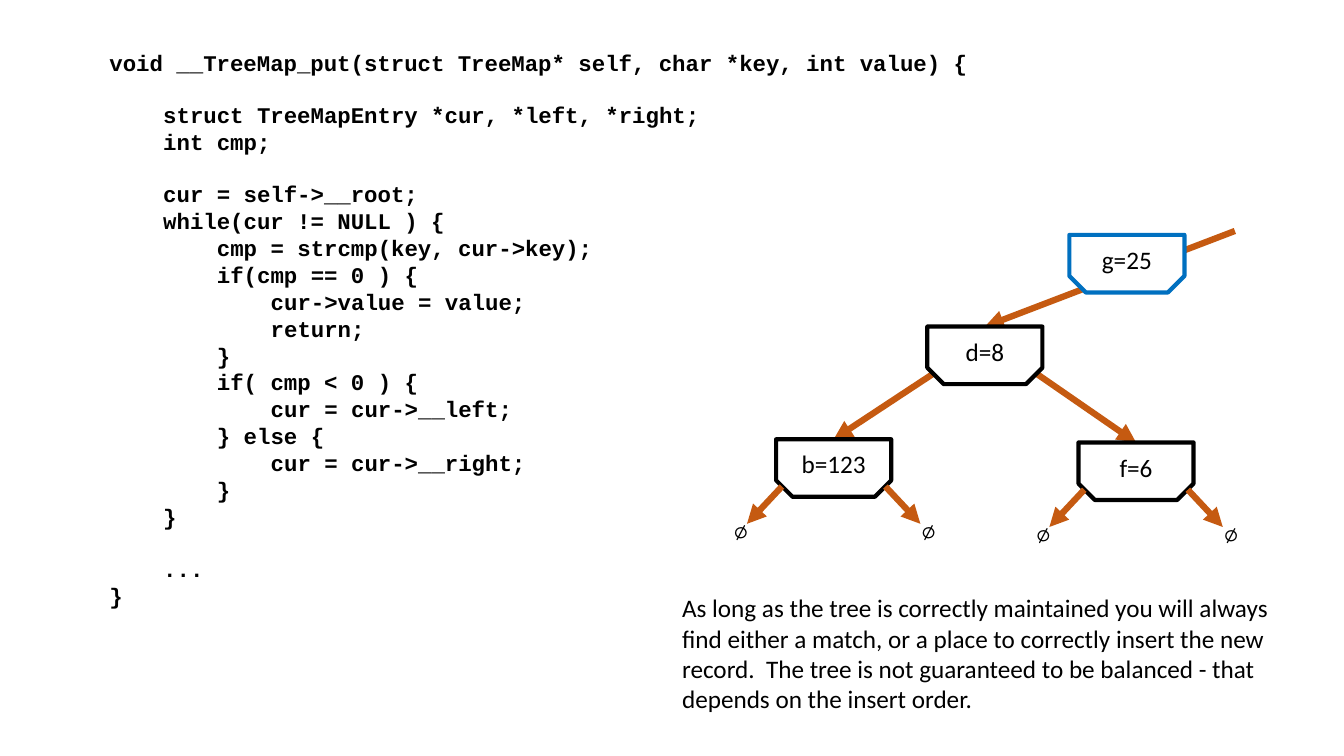
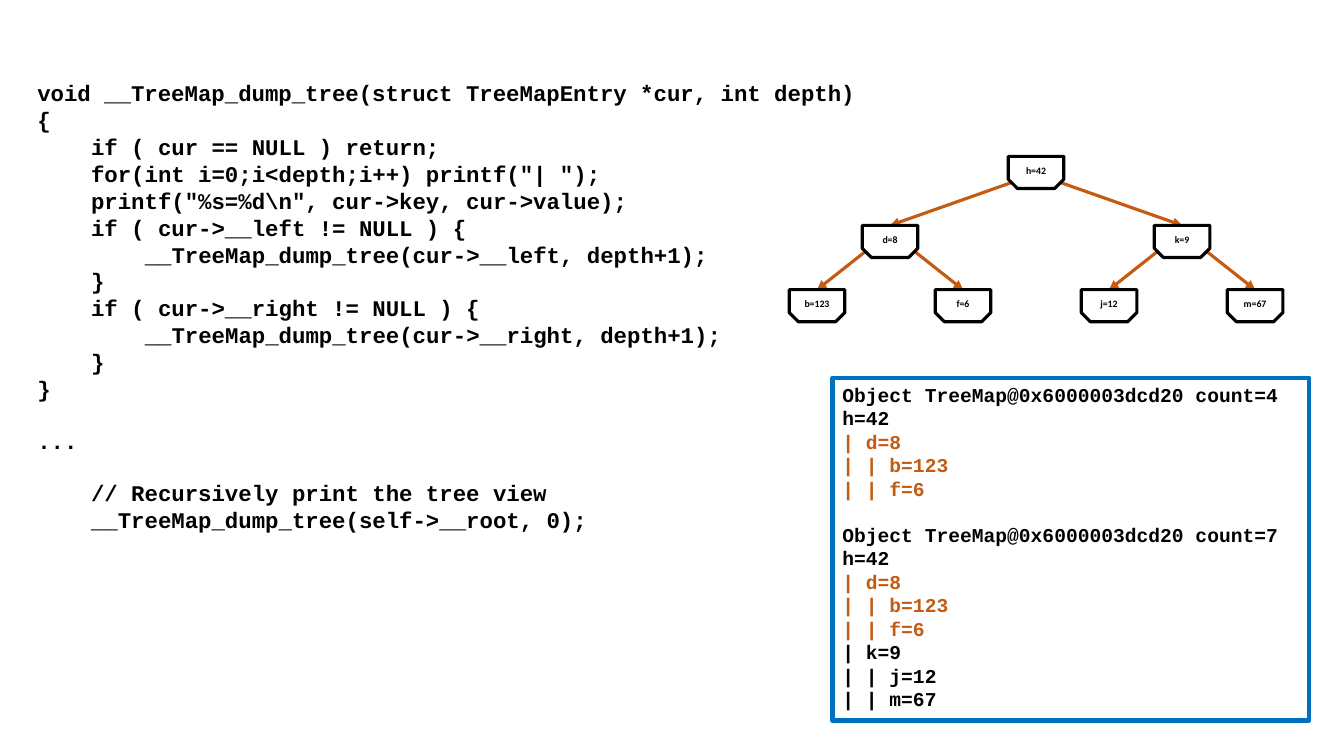
from dataclasses import dataclass

from lxml import etree
from pptx import Presentation
from pptx import util as u
from pptx.dml import color
from pptx.enum import shapes as kinds, text
from pptx.oxml import ns


@dataclass(frozen=True)
class Theme:
    ink: color.RGBColor = color.RGBColor.from_string("000000")
    paper: color.RGBColor = color.RGBColor.from_string("FFFFFF")
    blue: color.RGBColor = color.RGBColor.from_string("0070C0")
    orange: color.RGBColor = color.RGBColor.from_string("C55A11")
    body_font: str = "Calibri"
    code_font: str = "Courier New"
    body_size: float = 18
    code_size: float = 16
    output_size: float = 14
    outline: float = 3


THEME = Theme()
LINE_HEIGHT = 1.13  # code line height, relative to the type size
CHARACTER_WIDTH = 0.6  # code character width, relative to the type size


@dataclass(frozen=True)
class TreeStyle:
    """Node size in centimetres; outline, arrow and type size in points."""
    width: float
    height: float
    outline: float
    arrow: float
    size: float
    bold: bool = False

    def top_point(self, node):
        return node[0] + self.width / 2, node[1]

    def foot(self, node, side):
        """Where an arrow leaves a node: side is -1 for left, 1 for right."""
        inset = 0.05 * self.width
        x = node[0] + (inset if side < 0 else self.width - inset)
        return x, node[1] + 0.82 * self.height


LARGE_TREE = TreeStyle(2.9, 1.45, 3, 4.5, THEME.body_size)
SMALL_TREE = TreeStyle(1.4, 0.81, 2.25, 2.25, 7, bold=True)

PUT_CODE = """\
void __TreeMap_put(struct TreeMap* self, char *key, int value) {

    struct TreeMapEntry *cur, *left, *right;
    int cmp;

    cur = self->__root;
    while(cur != NULL ) {
        cmp = strcmp(key, cur->key);
        if(cmp == 0 ) {
            cur->value = value;
            return;
        }
        if( cmp < 0 ) {
            cur = cur->__left;
        } else {
            cur = cur->__right;
        }
    }

    ...
}"""

DUMP_CODE = r"""void __TreeMap_dump_tree(struct TreeMapEntry *cur, int depth)
{
    if ( cur == NULL ) return;
    for(int i=0;i<depth;i++) printf("| ");
    printf("%s=%d\n", cur->key, cur->value);
    if ( cur->__left != NULL ) {
        __TreeMap_dump_tree(cur->__left, depth+1);
    }
    if ( cur->__right != NULL ) {
        __TreeMap_dump_tree(cur->__right, depth+1);
    }
}

...

    // Recursively print the tree view
    __TreeMap_dump_tree(self->__root, 0);"""

DUMP_OUTPUT = """\
Object TreeMap@0x6000003dcd20 count=4
h=42
| d=8
| | b=123
| | f=6

Object TreeMap@0x6000003dcd20 count=7
h=42
| d=8
| | b=123
| | f=6
| k=9
| | j=12
| | m=67"""

LEFT_SUBTREE = ("d=8", "b=123", "f=6")

BALANCE_NOTE = (
    "As long as the tree is correctly maintained you will always find either "
    "a match, or a place to correctly insert the new record.  The tree is not "
    "guaranteed to be balanced - that depends on the insert order."
)


# Text
def add_run(paragraph, words, font, size, ink=THEME.ink, bold=False):
    run = paragraph.add_run()
    run.text = words
    run.font.name = font
    run.font.size = u.Pt(size)
    run.font.bold = bold
    run.font.color.rgb = ink


def add_text_box(shapes, left, top, width, height):
    box = shapes.add_textbox(u.Cm(left), u.Cm(top), u.Cm(width), u.Cm(height))
    box.text_frame.word_wrap = True
    return box.text_frame


def write_code(frame, code, size, highlighted=()):
    """Leading spaces become indents, empty lines become space before."""
    paragraph = frame.paragraphs[0]
    gap = 0
    for number, line in enumerate(code.splitlines()):
        words = line.lstrip()
        if not words:
            gap += LINE_HEIGHT * size
            continue
        if number:
            paragraph = frame.add_paragraph()
        paragraph.alignment = text.PP_ALIGN.LEFT
        paragraph.space_before = u.Pt(gap)
        gap = 0
        indent = (len(line) - len(words)) * CHARACTER_WIDTH * size
        properties = paragraph._p.get_or_add_pPr()
        properties.set("marL", str(int(u.Pt(indent))))
        properties.set("indent", "0")
        ink = THEME.orange if words.endswith(highlighted) else THEME.ink
        add_run(paragraph, words, THEME.code_font, size, ink, bold=True)


def add_output_panel(shapes, left, top, width, height):
    panel = shapes.add_shape(kinds.MSO_SHAPE.RECTANGLE, u.Cm(left), u.Cm(top),
                             u.Cm(width), u.Cm(height))
    panel.shadow.inherit = False
    panel.fill.background()
    panel.line.color.rgb = THEME.blue
    panel.line.width = u.Pt(THEME.outline)
    frame = panel.text_frame
    frame.word_wrap = True
    frame.vertical_anchor = text.MSO_ANCHOR.TOP
    write_code(frame, DUMP_OUTPUT, THEME.output_size, LEFT_SUBTREE)


# Trees
def add_arrow(shapes, start, end, width):
    arrow = shapes.add_connector(kinds.MSO_CONNECTOR.STRAIGHT,
                                 *(u.Cm(value) for value in (*start, *end)))
    arrow.line.color.rgb = THEME.orange
    arrow.line.width = u.Pt(width)
    properties = arrow._element.spPr
    outline = properties.find(ns.qn("a:ln"))
    etree.SubElement(outline, ns.qn("a:tailEnd"), type="triangle")
    etree.SubElement(properties, ns.qn("a:effectLst"))


def add_node(shapes, label, position, style, outline):
    node = shapes.add_shape(kinds.MSO_SHAPE.SNIP_2_SAME_RECTANGLE,
                            *(u.Cm(value) for value in position),
                            u.Cm(style.width), u.Cm(style.height))
    node.adjustments[0] = 0
    node.adjustments[1] = 0.286
    node.shadow.inherit = False
    node.fill.solid()
    node.fill.fore_color.rgb = THEME.paper
    node.line.color.rgb = outline
    node.line.width = u.Pt(style.outline)
    node.text_frame.vertical_anchor = text.MSO_ANCHOR.MIDDLE
    paragraph = node.text_frame.paragraphs[0]
    paragraph.alignment = text.PP_ALIGN.CENTER
    add_run(paragraph, label, THEME.body_font, style.size, bold=style.bold)


def add_tree(shapes, nodes, children, style, current=None):
    """Draw the arrows first, so that the nodes cover their ends."""
    for parent, pair in children.items():
        for side, child in zip((-1, 1), pair):
            add_arrow(shapes, style.foot(nodes[parent], side),
                      style.top_point(nodes[child]), style.arrow)
    for label, position in nodes.items():
        outline = THEME.blue if label == current else THEME.ink
        add_node(shapes, label, position, style, outline)


def add_empty_child(shapes, node, side, style):
    x, y = style.foot(node, side)
    tip = x + side * 0.88, y + 0.94
    add_arrow(shapes, (x, y), tip, style.arrow)
    left = tip[0] - (0.59 if side < 0 else 0.23)
    frame = add_text_box(shapes, left, tip[1] - 0.42, 0.84, 1.09)
    frame.vertical_anchor = text.MSO_ANCHOR.MIDDLE
    add_run(frame.paragraphs[0], "∅", THEME.code_font, THEME.body_size)


# Slides
def build_put_slide(slide):
    shapes = slide.shapes
    write_code(add_text_box(shapes, 2.51, 1.12, 24.43, 14.63),
               PUT_CODE, THEME.code_size)
    nodes = {"g=25": (26.95, 5.92), "d=8": (23.37, 8.23),
             "b=123": (19.56, 11.07), "f=6": (27.18, 11.15)}
    add_arrow(shapes, (31.12, 5.82), LARGE_TREE.top_point(nodes["d=8"]),
              LARGE_TREE.arrow)
    add_tree(shapes, nodes, {"d=8": ("b=123", "f=6")}, LARGE_TREE,
             current="g=25")
    for leaf in ("b=123", "f=6"):
        for side in (-1, 1):
            add_empty_child(shapes, nodes[leaf], side, LARGE_TREE)
    note = add_text_box(shapes, 16.94, 14.81, 15.39, 3.33)
    add_run(note.paragraphs[0], BALANCE_NOTE, THEME.body_font, THEME.body_size)


def build_dump_slide(slide):
    write_code(add_text_box(slide.shapes, 0.69, 1.88, 22.28, 12.57),
               DUMP_CODE, THEME.code_size)
    add_output_panel(slide.shapes, 20.98, 9.52, 12.01, 8.64)

    # One column per key in sorted order, one row per depth
    row_tops = (3.94, 5.68, 7.3)
    depths = {"b=123": 2, "d=8": 1, "f=6": 2, "h=42": 0,
              "j=12": 2, "k=9": 1, "m=67": 2}
    nodes = {label: (19.89 + 1.84 * column, row_tops[depth])
             for column, (label, depth) in enumerate(depths.items())}
    children = {"h=42": ("d=8", "k=9"), "d=8": ("b=123", "f=6"),
                "k=9": ("j=12", "m=67")}
    tree = slide.shapes.add_group_shape()
    add_tree(tree.shapes, nodes, children, SMALL_TREE)


def main():
    presentation = Presentation()
    presentation.slide_width = u.Cm(33.87)
    presentation.slide_height = u.Cm(19.05)
    blank = presentation.slide_layouts[6]
    for build in (build_put_slide, build_dump_slide):
        build(presentation.slides.add_slide(blank))
    presentation.save("out.pptx")


if __name__ == "__main__":
    main()
